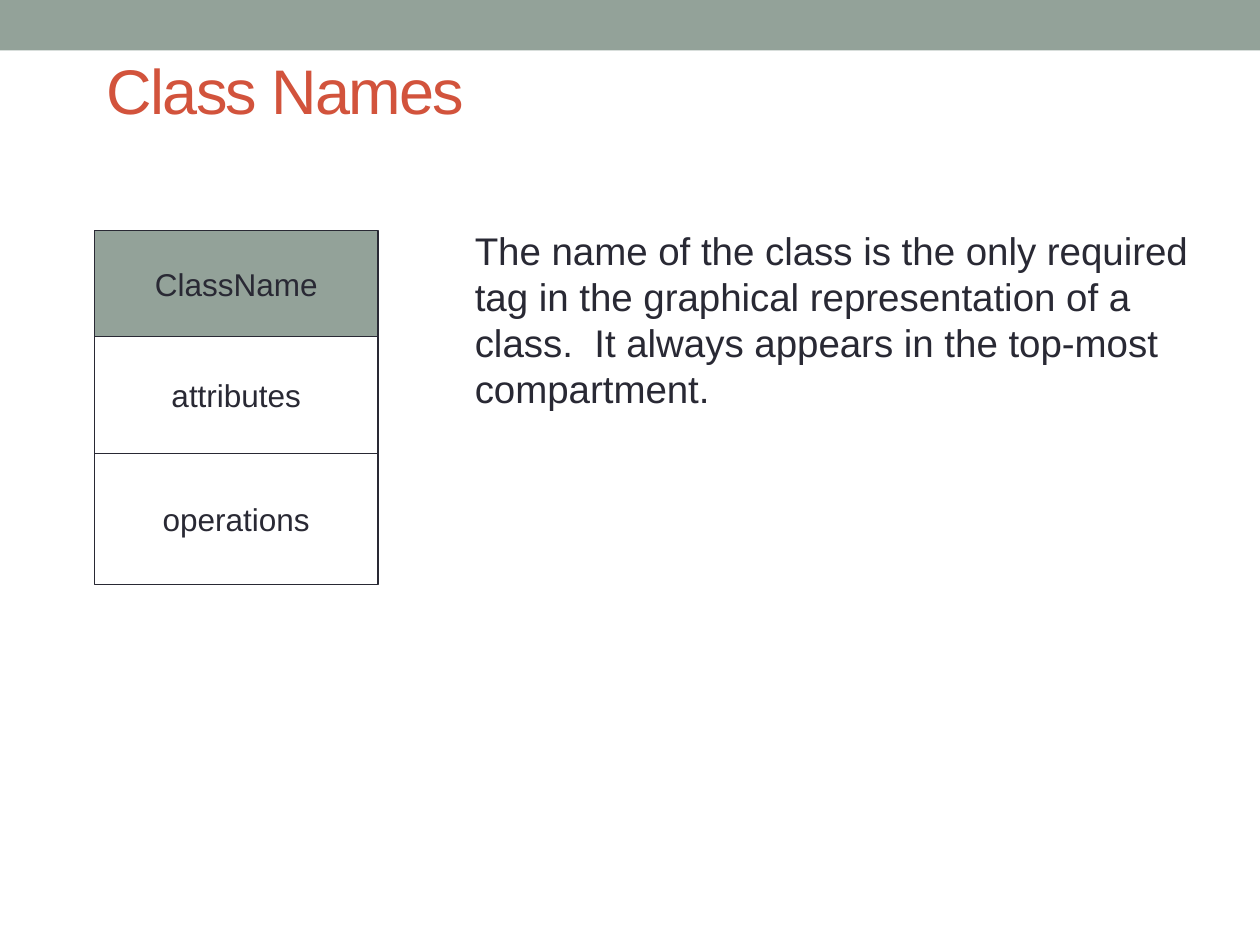
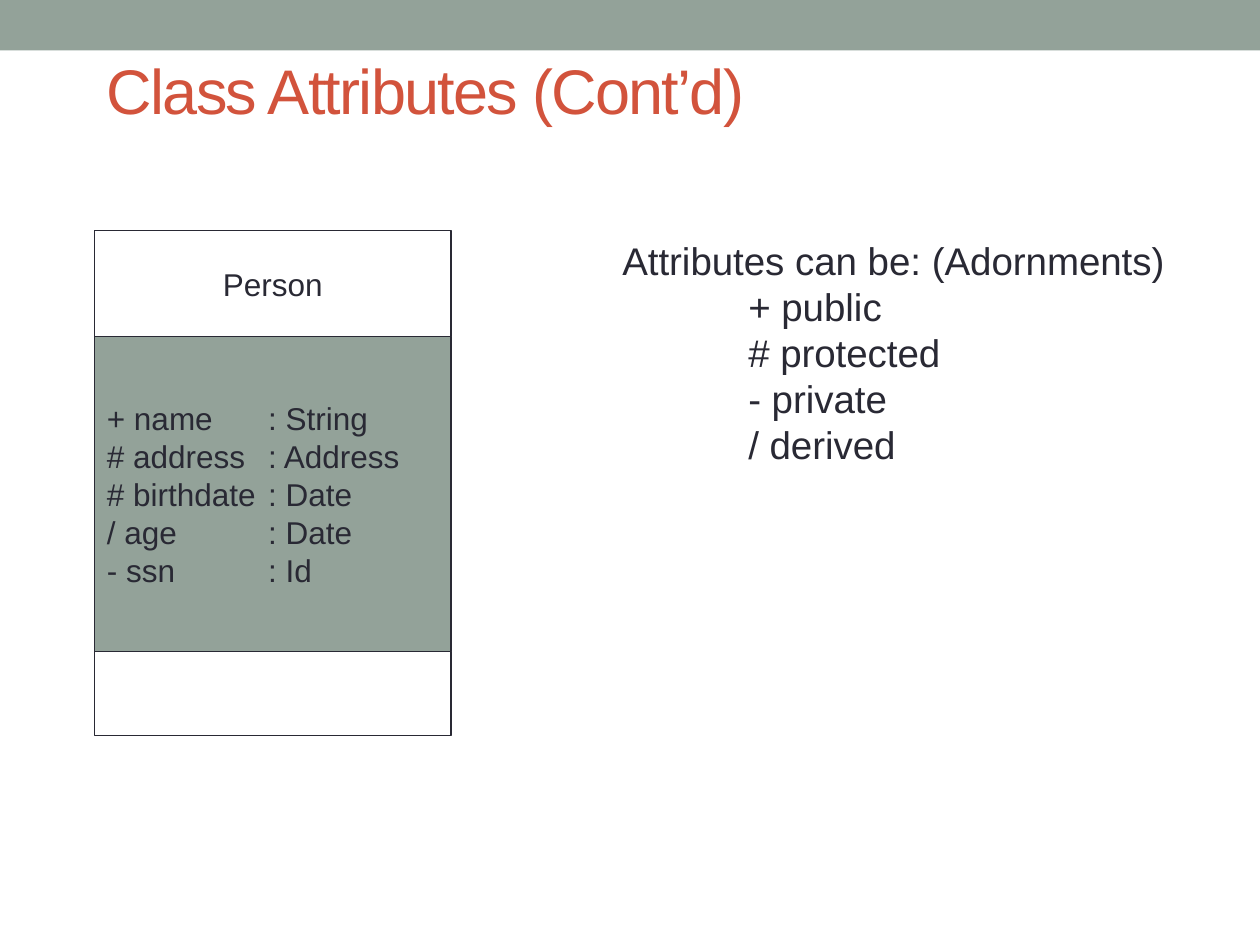
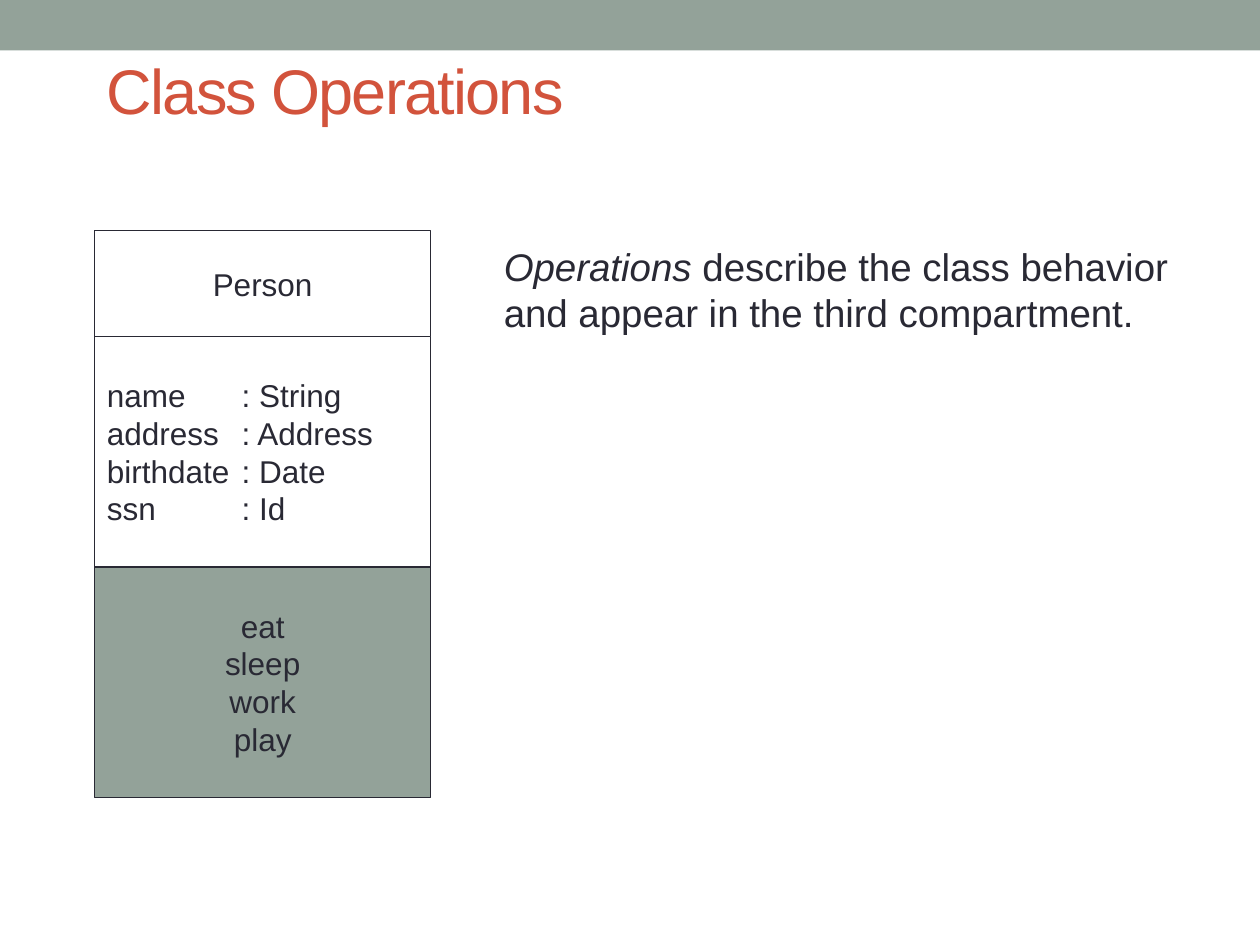
from dataclasses import dataclass
from itertools import accumulate

from lxml.etree import SubElement as SubEl
from pptx import Presentation
from pptx.dml.color import RGBColor as RGB
from pptx.enum.shapes import MSO_SHAPE as Shape
from pptx.enum.text import MSO_ANCHOR as Anchor, PP_ALIGN as Align
from pptx.oxml.ns import qn
from pptx.util import Inches, Pt


@dataclass(frozen=True)
class Theme:
    face: str = "Arial"
    ink: RGB = RGB(0x29, 0x29, 0x34)
    sage: RGB = RGB(0x93, 0xA2, 0x99)
    rust: RGB = RGB(0xD2, 0x53, 0x3C)
    white: RGB = RGB(0xFF, 0xFF, 0xFF)
    head: Pt = Pt(36)
    note: Pt = Pt(22)
    cell: Pt = Pt(18)
    line: Pt = Pt(0.75)


THEME = Theme()
LEFT, TOP = 0.75, 1.83


def apply(item, form):
    for key, value in form.items():
        setattr(item, key, value)


def add_run(para, text, size, color, **form):
    run = para.add_run()
    run.text = text
    apply(run.font, {"name": THEME.face, "size": size, **form})
    run.font.color.rgb = color
    return run


def add_lines(frame, count):
    return [frame.paragraphs[0]] + [frame.add_paragraph() for _ in range(count - 1)]


def add_rect(slide, box, fill):
    rect = slide.shapes.add_shape(Shape.RECTANGLE, *map(Inches, box))
    rect.shadow.inherit = False
    rect.fill.solid()
    rect.fill.fore_color.rgb = fill
    rect.line.fill.background()
    return rect


def add_text(slide, box, anchor):
    frame = slide.shapes.add_textbox(*map(Inches, box)).text_frame
    apply(frame, {"word_wrap": True, "vertical_anchor": anchor})
    return frame


def add_tab(para, place):
    tabs = SubEl(para._p.get_or_add_pPr(), qn("a:tabLst"))
    SubEl(tabs, qn("a:tab"), pos=str(Inches(place)), algn="l")


def add_slide(deck, title):
    slide = deck.slides.add_slide(deck.slide_layouts[6])
    add_rect(slide, (0, 0, 10, 0.4), THEME.sage)
    frame = add_text(slide, (LEFT, 0.42, 8.58, 0.58), Anchor.MIDDLE)
    run = add_run(frame.paragraphs[0], title, THEME.head, THEME.rust)
    run.font._element.set("spc", "-100")
    return slide


def add_cell(slide, box, lines, fill, tab):
    rect = add_rect(slide, box, fill)
    rect.line.color.rgb = THEME.ink
    rect.line.width = THEME.line
    frame = rect.text_frame
    apply(frame, {"word_wrap": True, "vertical_anchor": Anchor.MIDDLE})
    for para, text in zip(add_lines(frame, len(lines)), lines):
        para.alignment = Align.LEFT if "\t" in text else Align.CENTER
        if "\t" in text:
            add_tab(para, tab)
        add_run(para, text, THEME.cell, THEME.ink)


def add_class(slide, width, cells, active, tab=1):
    highs = [high for high, _ in cells]
    tops = accumulate(highs, initial=TOP)
    for row, (top, (high, lines)) in enumerate(zip(tops, cells)):
        fill = THEME.sage if row == active else THEME.white
        add_cell(slide, (LEFT, top, width, high), lines, fill, tab)


def add_note(slide, box, lines, step=0):
    frame = add_text(slide, box, Anchor.TOP)
    for row, (para, runs) in enumerate(zip(add_lines(frame, len(lines)), lines)):
        if row and step:
            para._p.get_or_add_pPr().set("marL", str(Inches(step)))
        for text, slant in runs:
            add_run(para, text, THEME.note, THEME.ink, italic=slant)


def plain(*lines):
    return [[(text, False)] for text in lines]


def main():
    deck = Presentation()
    apply(deck, {"slide_width": Inches(10), "slide_height": Inches(7.5)})

    names = add_slide(deck, "Class Names")
    add_class(names, 2.25, [
        (0.84, ["ClassName"]),
        (0.93, ["attributes"]),
        (1.04, ["operations"]),
    ], active=0)
    add_note(names, (3.67, 1.75, 6, 1.58), plain(
        "The name of the class is the only required tag in the graphical "
        "representation of a class.  It always appears in the top-most compartment."))

    traits = add_slide(deck, "Class Attributes (Cont’d)")
    add_class(traits, 2.83, [
        (0.84, ["Person"]),
        (2.5, ["+ name\t: String", "# address\t: Address", "# birthdate\t: Date",
               "/ age\t: Date", "- ssn\t: Id"]),
        (0.67, []),
    ], active=1, tab=1.28)
    add_note(traits, (4.84, 1.83, 4.65, 1.95), plain(
        "Attributes can be: (Adornments)",
        "+ public", "# protected", "- private", "/ derived"), step=1)

    acts = add_slide(deck, "Class Operations")
    add_class(acts, 2.67, [
        (0.84, ["Person"]),
        (1.83, ["name\t: String", "address\t: Address", "birthdate\t: Date", "ssn\t: Id"]),
        (1.83, ["eat", "sleep", "work", "play"]),
    ], active=2, tab=1.07)
    add_note(acts, (3.9, 1.88, 5.63, 0.84), [
        [("Operations ", True), ("describe the class behavior", False)],
        *plain("and appear in the third compartment."),
    ])

    deck.save("out.pptx")


if __name__ == "__main__":
    main()
